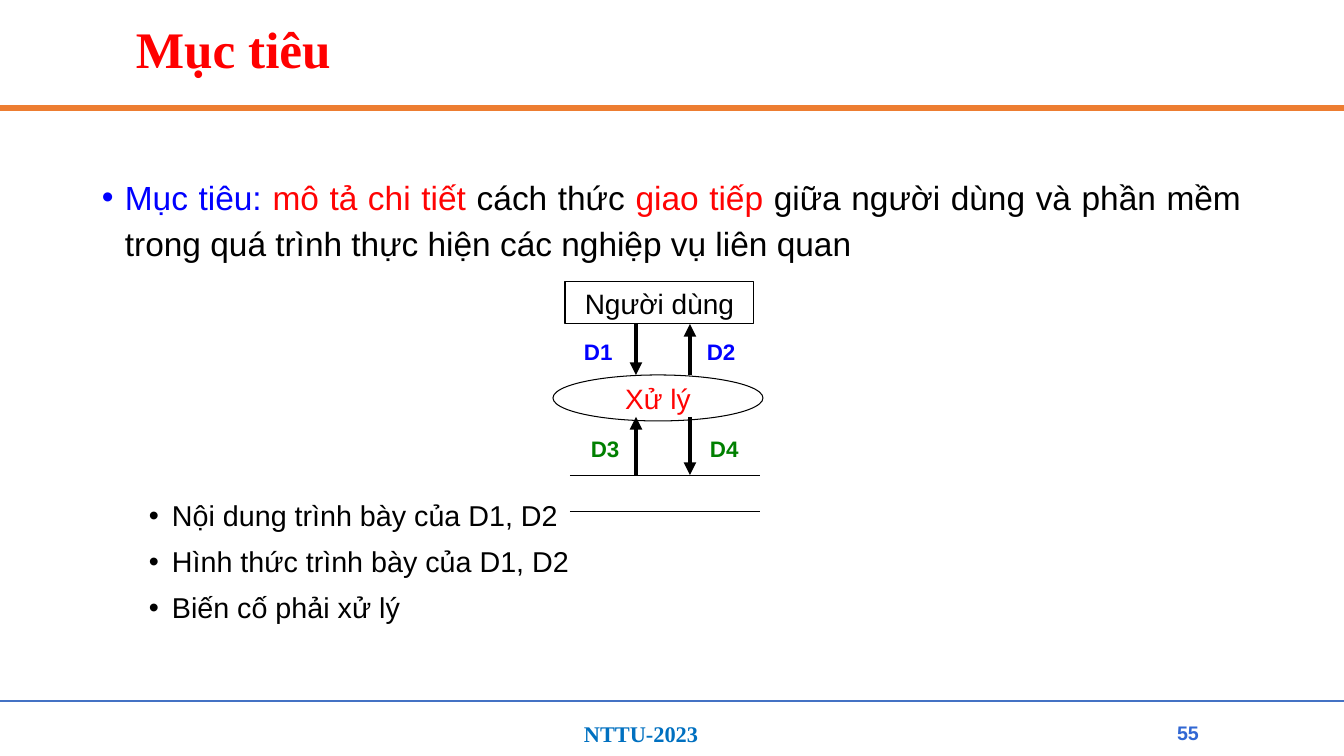
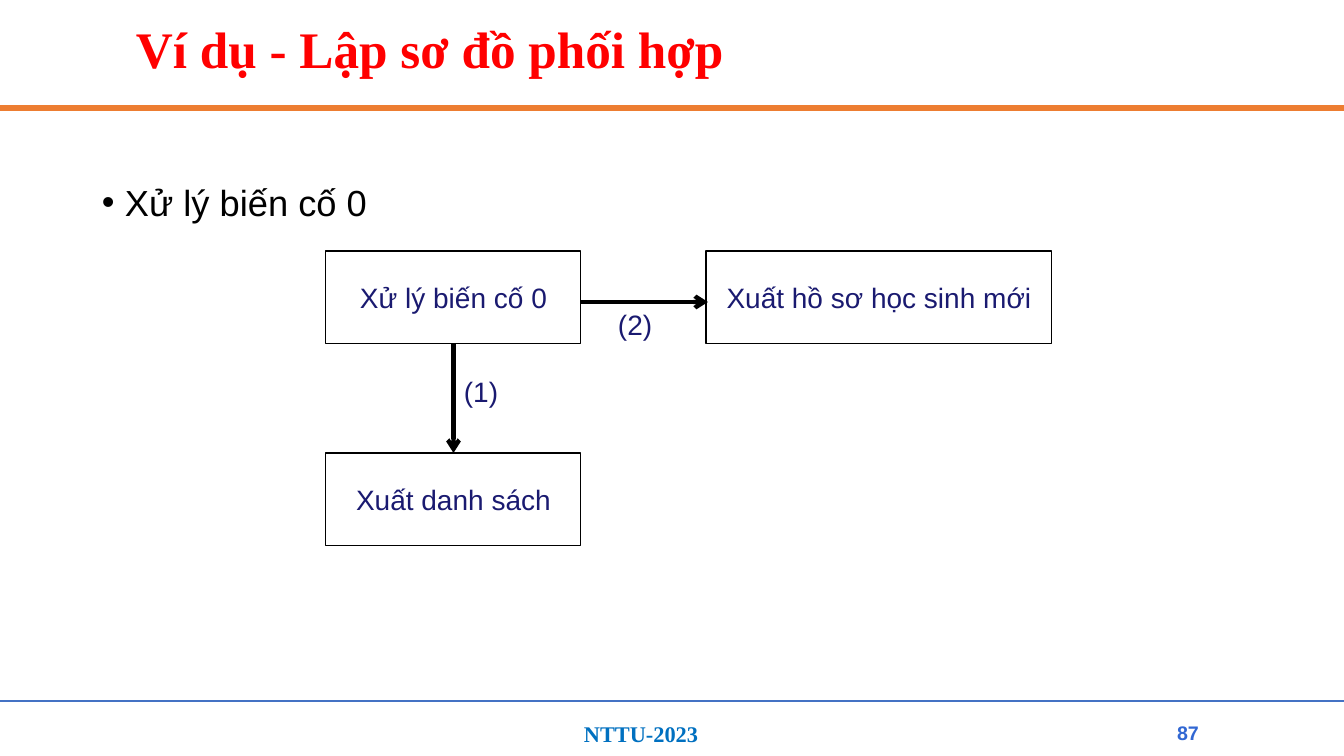
from lxml.etree import SubElement
from pptx import Presentation
from pptx.dml.color import RGBColor
from pptx.enum.shapes import MSO_CONNECTOR as Connector, MSO_SHAPE as Preset
from pptx.enum.text import MSO_ANCHOR as Anchor, PP_ALIGN as Align
from pptx.oxml.ns import qn
from pptx.util import Emu, Pt

EMU_PER_PX = 9144000 / 1008
SLIDE_WIDTH, SLIDE_HEIGHT = 1344, 756
BODY, SERIF = "Arial", "Times New Roman"
COLORS = {
    "title": "FF0000", "band": "ED7D31", "rule": "4472C4",
    "footer": "0070C0", "number": "3167D3", "ink": "000000",
    "blue": "0000FF", "red": "FF0303", "green": "008000", "navy": "1A1A70",
}


def px(value):
    """Turn a length in px into EMU."""
    return Emu(round(value * EMU_PER_PX))


def color(name):
    """Look up a palette colour."""
    return RGBColor.from_string(COLORS[name])


def add_bullet(paragraph, indent):
    """Give a paragraph a hanging round bullet."""
    properties = paragraph._p.get_or_add_pPr()
    properties.set("marL", str(px(indent)))
    properties.set("indent", str(-px(23)))
    SubElement(properties, qn("a:buFont")).set("typeface", BODY)
    SubElement(properties, qn("a:buChar")).set("char", "•")


def write(shape, paragraphs, size=20, ink="ink", font=BODY, bold=False, align=Align.LEFT,
          anchor=Anchor.TOP, wrap=True, spacing=None, before=0, indent=None):
    """Fill a shape with paragraphs, each a string or a list of (text, colour) runs."""
    frame = shape.text_frame
    frame.word_wrap = wrap
    frame.vertical_anchor = anchor
    for index, runs in enumerate(paragraphs):
        paragraph = frame.add_paragraph() if index else frame.paragraphs[0]
        paragraph.alignment = align
        if spacing:
            paragraph.line_spacing = spacing
        if index:
            paragraph.space_before = Pt(before)
        if indent:
            add_bullet(paragraph, indent)
        for text, run_ink in [(runs, ink)] if isinstance(runs, str) else runs:
            run = paragraph.add_run()
            run.text = text
            run.font.name, run.font.size, run.font.bold = font, Pt(size), bold
            run.font.color.rgb = color(run_ink)


def add_text(slide, box, *paragraphs, **style):
    """Add a text box."""
    write(slide.shapes.add_textbox(*map(px, box)), paragraphs, **style)


def add_node(slide, box, text, preset=Preset.RECTANGLE, ink="navy"):
    """Add an outlined shape with a centred label."""
    shape = slide.shapes.add_shape(preset, *map(px, box))
    shape.shadow.inherit = False
    shape.fill.background()
    shape.line.color.rgb = color("ink")
    shape.line.width = Pt(0.75)
    write(shape, [text], ink=ink, align=Align.CENTER, anchor=Anchor.MIDDLE, wrap=False)
    return shape


def add_line(slide, start, end, width=0.75, ink="ink", head=None):
    """Add a straight line, with an arrowhead at its end if one is named."""
    line = slide.shapes.add_connector(Connector.STRAIGHT, *map(px, (*start, *end)))
    line.line.color.rgb = color(ink)
    line.line.width = Pt(width)
    if head:
        SubElement(line.line._get_or_add_ln(), qn("a:tailEnd")).set("type", head)
    SubElement(line._element.spPr, qn("a:effectLst"))
    return line


def add_frame(presentation, title, number):
    """Add a slide with the title, the two rules and the footer."""
    slide = presentation.slides.add_slide(presentation.slide_layouts[6])
    for y, width, ink in ((108, 4.5, "band"), (701, 1.5, "rule")):
        add_line(slide, (0, y), (SLIDE_WIDTH, y), width, ink)
    add_text(slide, (574, 715, 179, 37), "NTTU-2023", size=16, ink="footer", font=SERIF, bold=True)
    add_text(slide, (126, 23, 1092, 58), title, size=36.6, ink="title", font=SERIF,
             bold=True, anchor=Anchor.MIDDLE, spacing=0.9)
    add_text(slide, (1165, 715, 46, 36), str(number), size=14, ink="number", bold=True,
             align=Align.CENTER, anchor=Anchor.MIDDLE)
    return slide


def add_exchange_diagram(slide, left, top):
    """Draw the data flows between user, process and data store."""
    def at(x, y):
        return left + x, top + y

    add_node(slide, (*at(12, 0), 189, 42), "Người dùng", ink="ink")
    for y in (194, 230):
        add_line(slide, at(17, y), at(207, y))
    for x, start, end in ((83, 42, 93), (137, 93, 42), (83, 193, 135), (137, 135, 193)):
        add_line(slide, at(x, start), at(x, end), 3, head="triangle")
    for text, x, y, ink in (("D1", 21, 51, "blue"), ("D2", 144, 51, "blue"),
                            ("D3", 28, 148, "green"), ("D4", 147, 148, "green")):
        add_text(slide, (*at(x, y), 49, 37), text, size=16, ink=ink, bold=True, wrap=False)
    add_node(slide, (*at(0, 93), 210, 46), "Xử lý", Preset.OVAL, "red")


def add_event_diagram(slide, left, top):
    """Draw the event handler and the two steps it calls."""
    width, height, row = 255, 93, 202
    handler = add_node(slide, (left, top, width, height), "Xử lý biến cố 0")
    add_node(slide, (left + 380, top, 346, height), "Xuất hồ sơ học sinh mới")
    listing = add_node(slide, (left, top + row, width, height), "Xuất danh sách")
    add_line(slide, (left + width, top + 51), (left + 382, top + 51), 3, head="arrow")
    center = left + width / 2
    call = add_line(slide, (center, top + height), (center, top + row), 3, head="arrow")
    call.begin_connect(handler, 2)
    call.end_connect(listing, 0)
    for text, x, y in (("(1)", 128, 119), ("(2)", 282, 52)):
        add_text(slide, (left + x, top + y, 64, 43), text, ink="navy")


def add_goal_slide(presentation):
    """Build the slide on the goal."""
    slide = add_frame(presentation, "Mục tiêu", 55)
    goal = [
        ("Mục tiêu: ", "blue"), ("mô tả chi tiết", "red"), (" cách thức ", "ink"),
        ("giao tiếp", "red"),
        (" giữa người dùng và phần mềm trong quá trình thực hiện các nghiệp vụ liên quan", "ink"),
    ]
    add_text(slide, (92, 166, 1159, 100), goal, size=23.9, align=Align.JUSTIFY,
             spacing=1.15, indent=23)
    add_text(slide, (92, 488, 1159, 150), "Nội dung trình bày của D1, D2",
             "Hình thức trình bày của D1, D2", "Biến cố phải xử lý", size=20.5,
             align=Align.JUSTIFY, spacing=1.15, before=4.6, indent=70)
    add_exchange_diagram(slide, 553, 282)


def add_example_slide(presentation):
    """Build the slide with the coordination example."""
    slide = add_frame(presentation, "Ví dụ - Lập sơ đồ phối hợp", 87)
    add_text(slide, (92, 167, 1159, 60), "Xử lý biến cố 0", size=25.9,
             align=Align.JUSTIFY, spacing=1.2, indent=23)
    add_event_diagram(slide, 326, 251)


def main():
    """Build and save the presentation."""
    presentation = Presentation()
    presentation.slide_width, presentation.slide_height = px(SLIDE_WIDTH), px(SLIDE_HEIGHT)
    add_goal_slide(presentation)
    add_example_slide(presentation)
    presentation.save("out.pptx")


if __name__ == "__main__":
    main()
